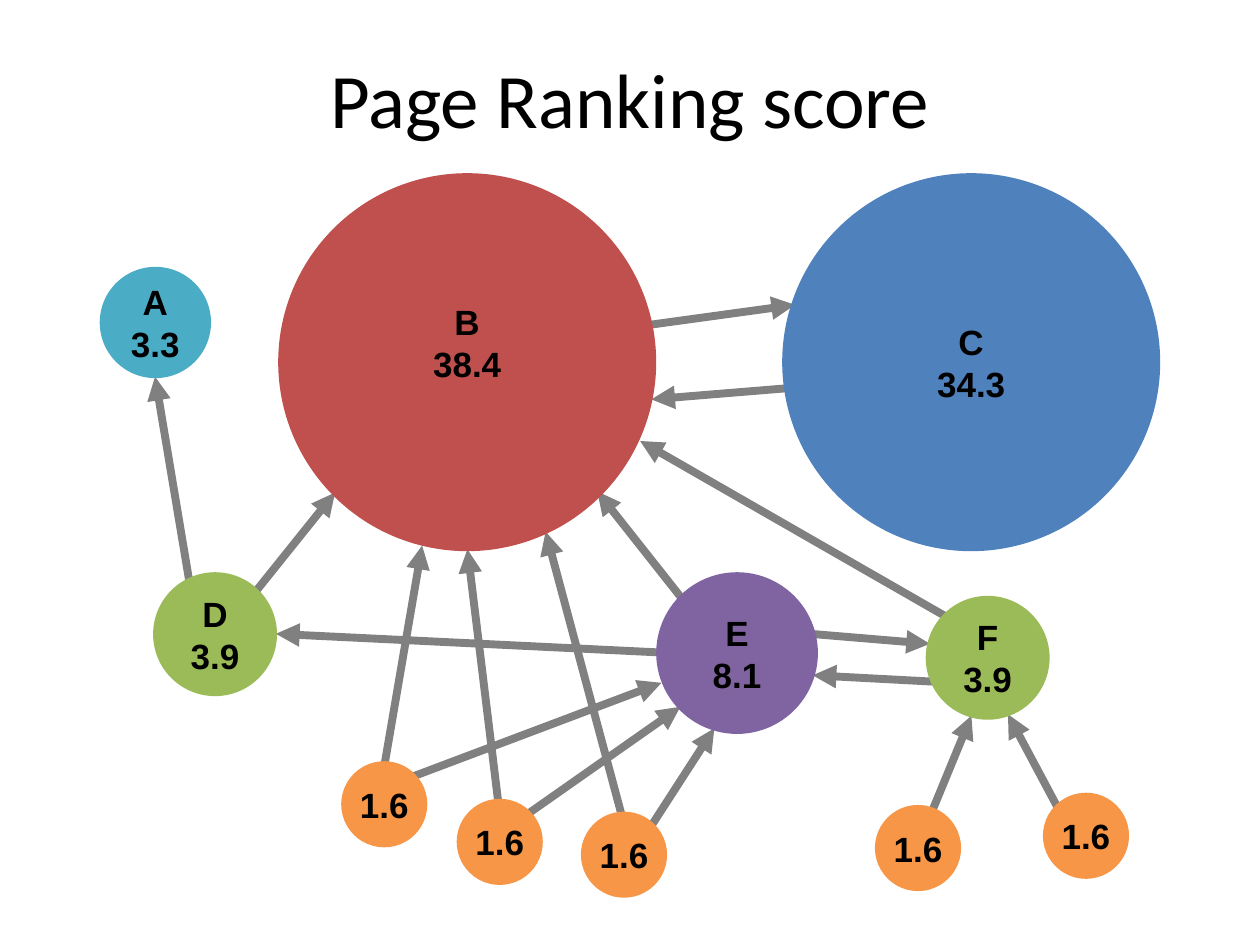
from lxml import etree
from pptx import Presentation
from pptx import util as u
from pptx.dml.color import RGBColor
from pptx.enum import shapes, text
from pptx.oxml import ns

BLACK = RGBColor(0x00, 0x00, 0x00)
GRAY = RGBColor(0x80, 0x80, 0x80)
RED = RGBColor(0xC0, 0x50, 0x4D)
BLUE = RGBColor(0x4F, 0x81, 0xBD)
PURPLE = RGBColor(0x80, 0x64, 0xA2)
GREEN = RGBColor(0x9B, 0xBB, 0x59)
TEAL = RGBColor(0x4B, 0xAC, 0xC6)
ORANGE = RGBColor(0xF7, 0x96, 0x46)

TITLE = "Page Ranking score"
TITLE_BOX = {"left": 36, "top": 21.6, "width": 648, "height": 68.4}
TITLE_FONT = {"name": "Calibri", "size": u.Pt(44), "bold": False}
PAGE_FONT = {"name": "Arial", "size": u.Pt(20), "bold": True}
PAGE_FRAME = {"margin_left": 0, "margin_right": 0, "margin_top": 0, "margin_bottom": 0,
              "word_wrap": False, "vertical_anchor": text.MSO_ANCHOR.MIDDLE}
LINK_WIDTH, OUTLINE_WIDTH = 4.5, 6
SMALL = 43.2

LINKS = [
    ((370, 185.8), (454.3, 174.2)),
    ((450.7, 221.8), (372.2, 228.2)),
    ((390.2, 342.7), (341.3, 280.8)),
    ((144.7, 339.8), (191.5, 281.5)),
    ((108, 331.2), (88.6, 215.3)),
    ((219.6, 437.8), (241.2, 311.8)),
    ((234.7, 444.2), (378, 390.2)),
    ((380.2, 373), (157.7, 362.2)),
    ((285.1, 461.5), (267.1, 313.9)),
    ((299.5, 466.6), (388.8, 403.9)),
    ((371.5, 473), (408.2, 416.2)),
    ((356.4, 470.2), (311.8, 303.8)),
    ((531.4, 466.6), (555.1, 409)),
    ((604.8, 462.2), (576, 408.2)),
    ((541.4, 352.8), (365.8, 252)),
    ((532.8, 389.5), (464.4, 385.9)),
    ((463, 362.2), (531.4, 367.9)),
]

# label lines, left, top, diameter, color, space below the text
PAGES = [
    (["B", "38.4"], 162, 102, 210, RED, 23),
    (["C", "34.3"], 450, 102, 210, BLUE, 0),
    (["E", "8.1"], 378, 330, 86.4, PURPLE, 0),
    (["F", "3.9"], 532, 343.5, 64.8, GREEN, 0),
    (["D", "3.9"], 90.5, 330, 64.8, GREEN, 0),
    (["A", "3.3"], 60, 155.5, 57.6, TEAL, 0),
    (["1.6"], 198, 438, SMALL, ORANGE, 0),
    (["1.6"], 264, 459.5, SMALL, ORANGE, 0),
    (["1.6"], 335, 466.8, SMALL, ORANGE, 0),
    (["1.6"], 503, 463, SMALL, ORANGE, 0),
    (["1.6"], 599, 456, SMALL, ORANGE, 0),
]


def apply(target, values):
    for name, value in values.items():
        setattr(target, name, value)


def write(frame, lines, font):
    frame.text = "\n".join(lines)
    for paragraph in frame.paragraphs:
        paragraph.alignment = text.PP_ALIGN.CENTER
        run_font = paragraph.runs[0].font
        apply(run_font, font)
        run_font.color.rgb = BLACK


def add_link(slide, start, end):
    points = [u.Pt(value) for value in start + end]
    connector = slide.shapes.add_connector(shapes.MSO_CONNECTOR.STRAIGHT, *points)
    connector.line.color.rgb = GRAY
    connector.line.width = u.Pt(LINK_WIDTH)
    properties = connector.element.spPr
    line = properties.find(ns.qn("a:ln"))
    etree.SubElement(line, ns.qn("a:tailEnd"), type="triangle")
    etree.SubElement(properties, ns.qn("a:effectLst"))


def add_page(slide, lines, left, top, diameter, color, space_below):
    box = [u.Pt(value) for value in (left, top, diameter, diameter)]
    shape = slide.shapes.add_shape(shapes.MSO_SHAPE.OVAL, *box)
    shape.shadow.inherit = False
    shape.fill.solid()
    shape.fill.fore_color.rgb = color
    shape.line.color.rgb = color
    shape.line.width = u.Pt(OUTLINE_WIDTH)
    apply(shape.text_frame, {**PAGE_FRAME, "margin_bottom": u.Pt(space_below)})
    write(shape.text_frame, lines, PAGE_FONT)


def main():
    presentation = Presentation()
    presentation.slide_width, presentation.slide_height = u.Pt(720), u.Pt(540)
    slide = presentation.slides.add_slide(presentation.slide_layouts[5])
    title = slide.shapes.title
    apply(title, {name: u.Pt(value) for name, value in TITLE_BOX.items()})
    title.text_frame.vertical_anchor = text.MSO_ANCHOR.MIDDLE
    write(title.text_frame, [TITLE], TITLE_FONT)
    for start, end in LINKS:
        add_link(slide, start, end)
    for page in PAGES:
        add_page(slide, *page)
    presentation.save("out.pptx")


if __name__ == "__main__":
    main()
